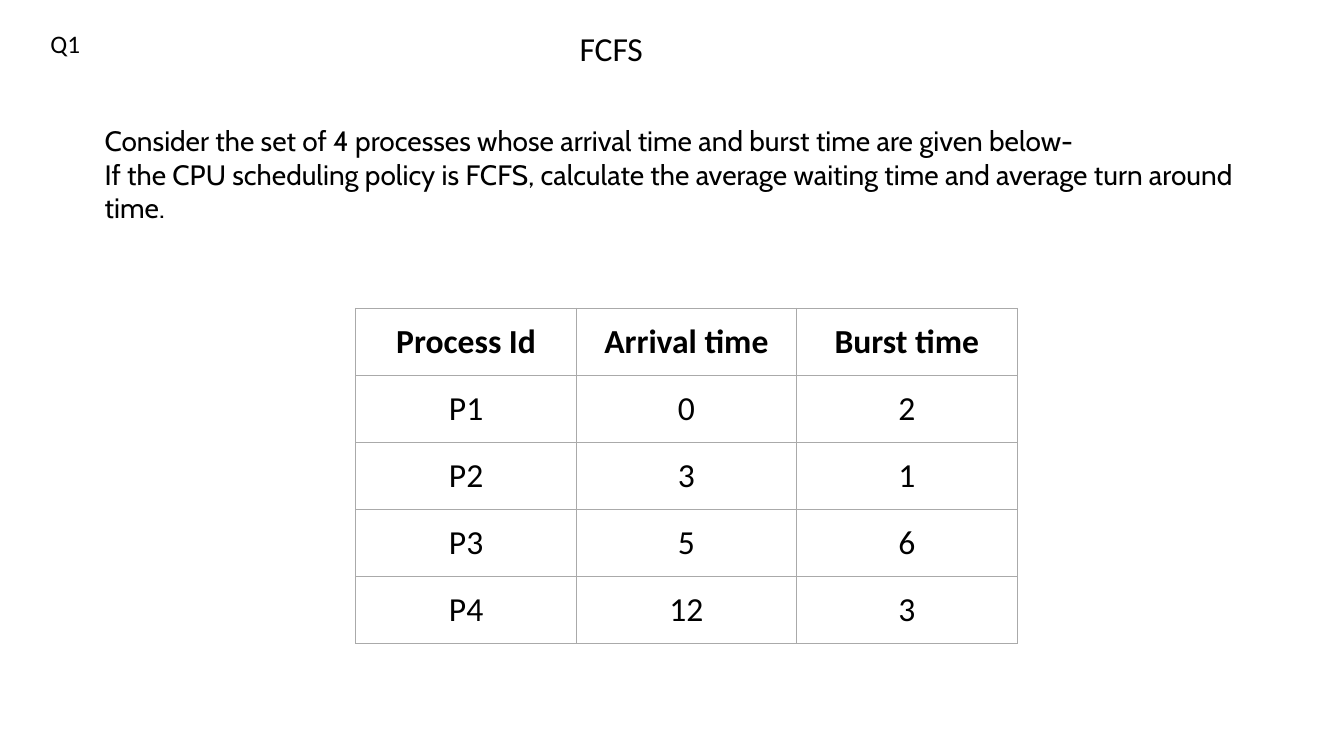
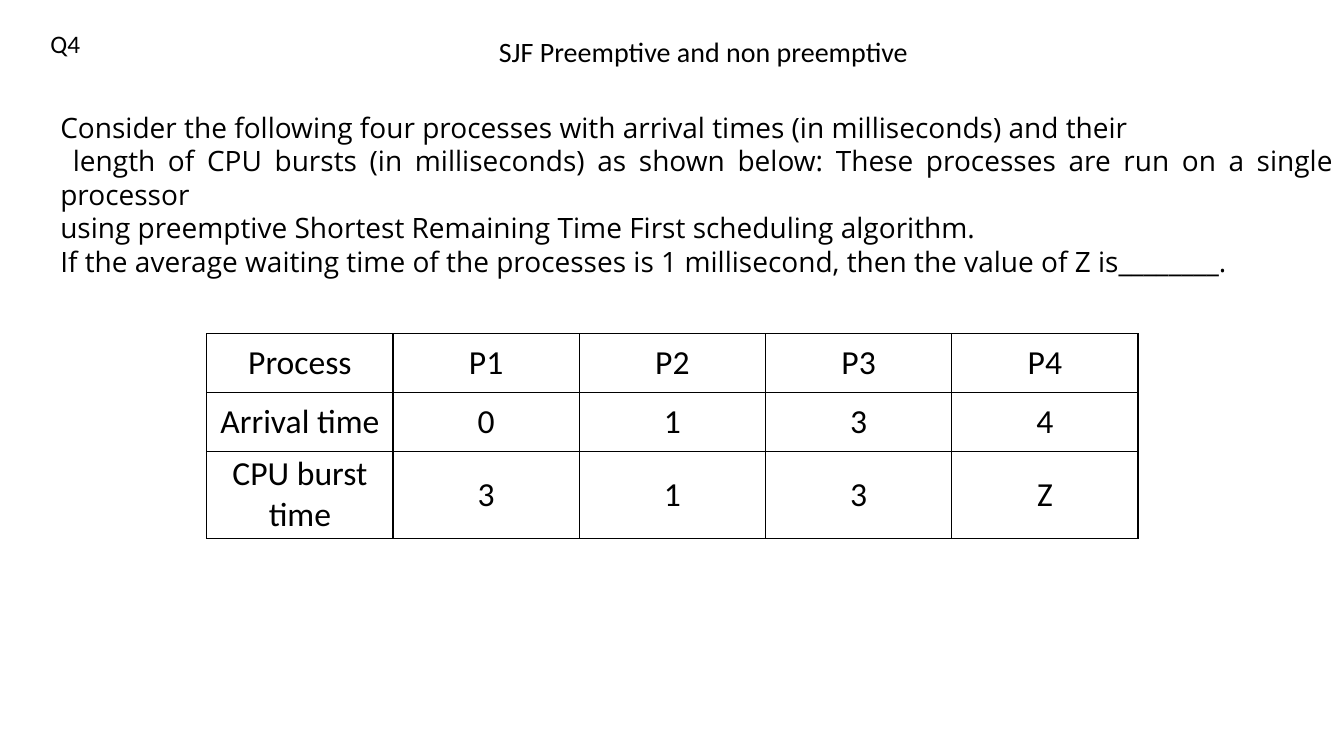
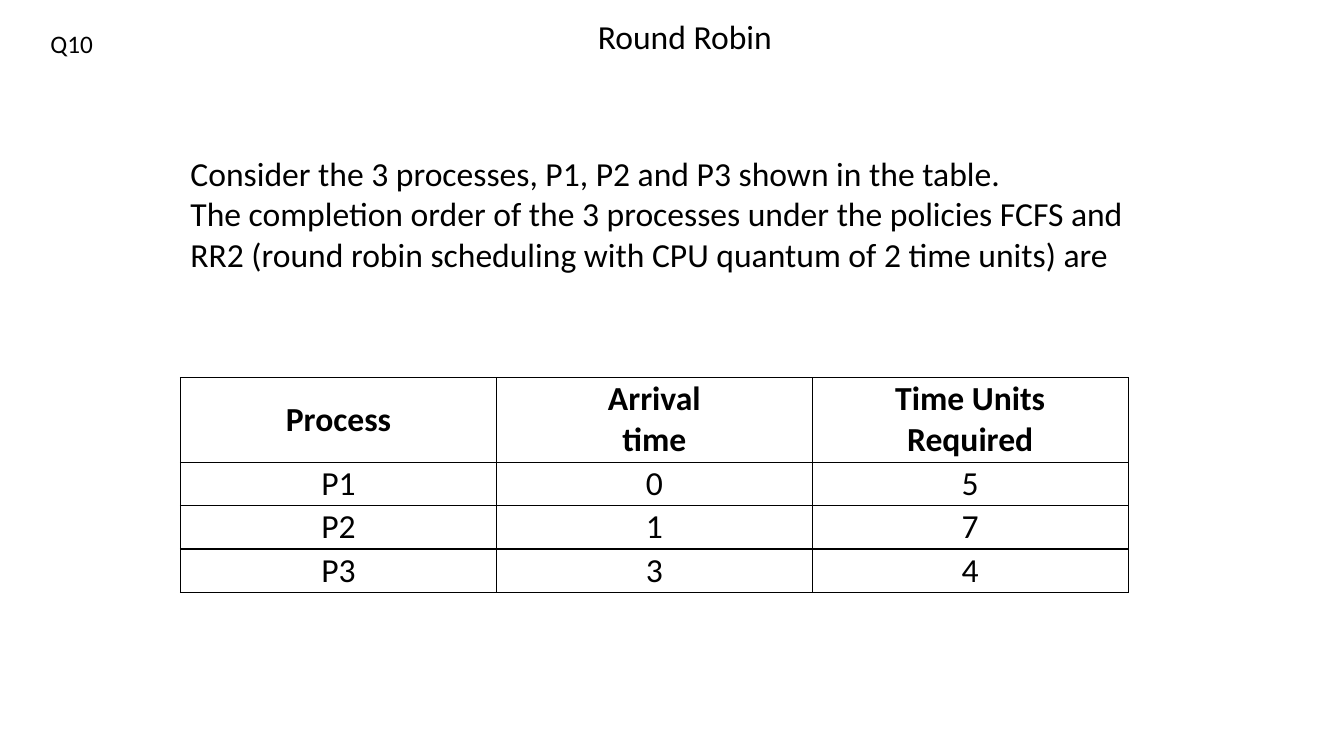
from lxml import etree
from pptx import Presentation
from pptx.dml.color import RGBColor
from pptx.enum import text
from pptx.oxml.ns import qn
from pptx.util import Cm, Pt

INK, PAPER, GREY = "000000", "FFFFFF", "AAAAAA"
FONT = "Calibri"
LEFT, MID, JUST = text.PP_ALIGN.LEFT, text.PP_ALIGN.CENTER, text.PP_ALIGN.JUSTIFY
TOP, CORE = text.MSO_ANCHOR.TOP, text.MSO_ANCHOR.MIDDLE

deck = Presentation()
deck.slide_width, deck.slide_height = Cm(33.87), Cm(19.05)


def tint(code):
    return RGBColor.from_string(code)


def place(shape, box):
    shape.left, shape.top, shape.width, shape.height = map(Cm, box)


def style(frame, size, font=FONT, align=LEFT, bold=False):
    for para in frame.paragraphs:
        para.alignment = align
        para.font.size = Pt(size)
        for run in para.runs:
            run.font.name = font
            run.font.size = Pt(size)
            run.font.bold = bold
            run.font.color.rgb = tint(INK)


def write(shape, box, words, size, font=FONT, align=LEFT, anchor=TOP, wrap=False):
    place(shape, box)
    frame = shape.text_frame
    frame.text = words
    frame.word_wrap = wrap
    frame.auto_size = text.MSO_AUTO_SIZE.NONE
    frame.vertical_anchor = anchor
    style(frame, size, font, align)


def label(slide, box, words, size, **look):
    write(slide.shapes.add_textbox(0, 0, 0, 0), box, words, size, **look)


def edge(cell, color, width):
    props = cell._tc.get_or_add_tcPr()
    for side in ("lnL", "lnR", "lnT", "lnB"):
        line = etree.SubElement(props, qn("a:" + side), w=str(Pt(width)))
        fill = etree.SubElement(line, qn("a:solidFill"))
        etree.SubElement(fill, qn("a:srgbClr"), val=color)


def grid(slide, box, rows, highs, pad, color=INK, width=1, head=False):
    count = len(rows[0])
    table = slide.shapes.add_table(len(rows), count, *map(Cm, box)).table
    table.first_row = table.horz_banding = False
    for col in table.columns:
        col.width = Cm(box[2] / count)
    for r, (row, high) in enumerate(zip(rows, highs)):
        table.rows[r].height = Cm(high)
        for c, words in enumerate(row):
            cell = table.cell(r, c)
            edge(cell, color, width)
            cell.fill.solid()
            cell.fill.fore_color.rgb = tint(PAPER)
            cell.margin_left = cell.margin_right = Cm(pad[0])
            cell.margin_top = cell.margin_bottom = Cm(pad[1])
            cell.vertical_anchor = CORE
            cell.text_frame.text = words
            style(cell.text_frame, 24, align=MID, bold=head and r == 0)


def page(mark, title, box, size):
    slide = deck.slides.add_slide(deck.slide_layouts[5])
    write(slide.shapes.title, box, title, size)
    label(slide, (1.02, 0.58, 1.6, 1.02), mark, 18)
    return slide


def body(slide, box, lines, size, **look):
    label(slide, box, "\n".join(lines), size, anchor=CORE, wrap=True, **look)


def fcfs():
    slide = page("Q1", "FCFS", (14.35, 0.58, 2.13, 1.27), 24)
    body(slide, (2.39, 3.4, 29.87, 1.96), [
        "Consider the set of 4 processes whose arrival time and burst time are given below-",
        "If the CPU scheduling policy is FCFS, calculate the average waiting time "
        "and average turn around time.",
    ], 20, font="Cabin")
    grid(slide, (8.97, 7.77, 16.66, 8.46), [
        ("Process Id", "Arrival time", "Burst time"),
        ("P1", "0", "2"),
        ("P2", "3", "1"),
        ("P3", "5", "6"),
        ("P4", "12", "3"),
    ], [1.69] * 5, (0.25, 0.2), GREY, 0.75, head=True)


def sjf():
    slide = page("Q4", "SJF Preemptive and non preemptive", (12.32, 0.74, 10.92, 1.12), 20)
    body(slide, (1.27, 3.05, 32.59, 3.68), [
        "Consider the following four processes with arrival times (in milliseconds) and their",
        " length of CPU bursts (in milliseconds) as shown below: "
        "These processes are run on a single processor",
        "using preemptive Shortest Remaining Time First scheduling algorithm.",
        "If the average waiting time of the processes is 1 millisecond, "
        "then the value of Z is________.",
    ], 20, font="Open Sans", align=JUST)
    grid(slide, (5.21, 8.41, 23.47, 5.16), [
        ("Process", "P1", "P2", "P3", "P4"),
        ("Arrival time", "0", "1", "3", "4"),
        ("CPU burst time", "3", "1", "3", "Z"),
    ], (1.48, 1.48, 2.2), (0.03, 0.03))


def robin():
    slide = page("Q10", "Round Robin", (14.81, 0.28, 4.93, 1.27), 24)
    body(slide, (4.55, 3.71, 27.2, 3.33), [
        "Consider the 3 processes, P1, P2 and P3 shown in the table.",
        "The completion order of the 3 processes under the policies FCFS and",
        "RR2 (round robin scheduling with CPU quantum of 2 time units) are",
    ], 24, align=JUST)
    grid(slide, (4.55, 9.52, 23.88, 5.28), [
        ("Process", "Arrival\vtime", "Time Units\vRequired"),
        ("P1", "0", "5"),
        ("P2", "1", "7"),
        ("P3", "3", "4"),
    ], (2.07, 1.07, 1.07, 1.07), (0.03, 0.03), head=True)


fcfs()
sjf()
robin()
deck.save("out.pptx")
